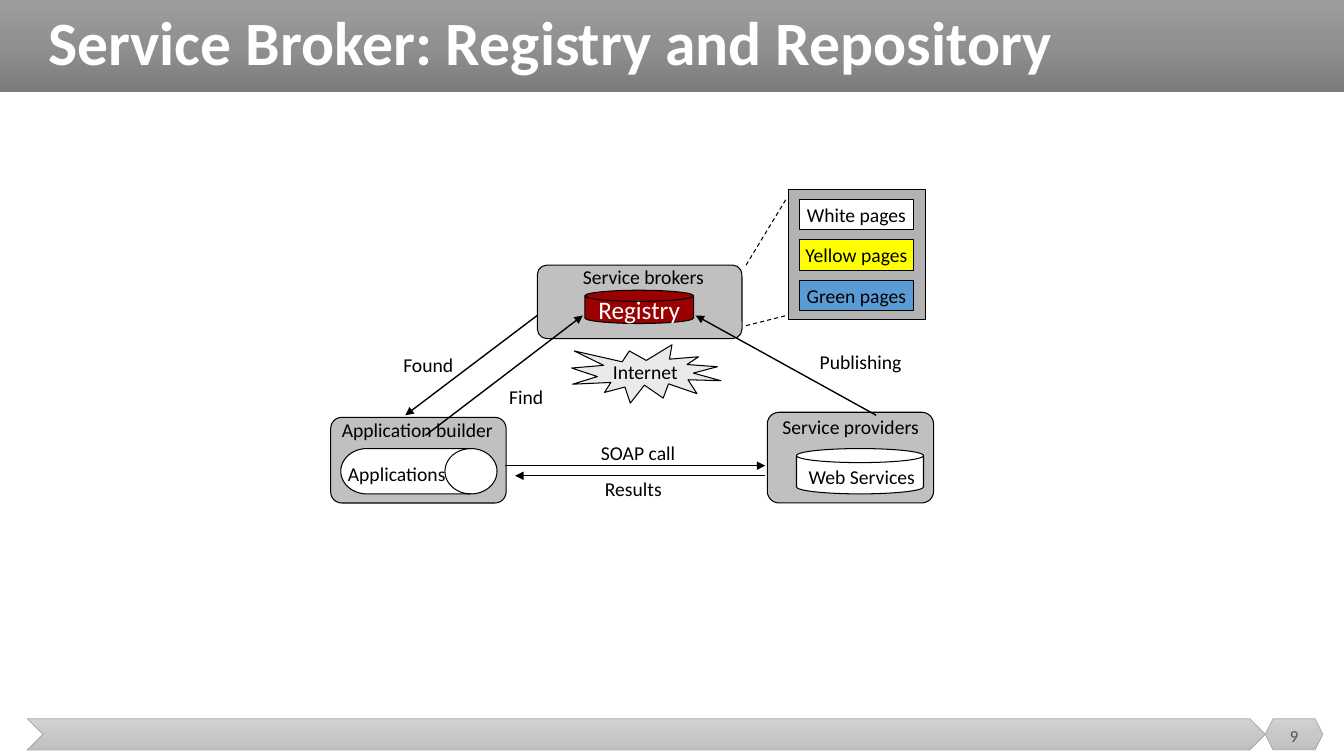
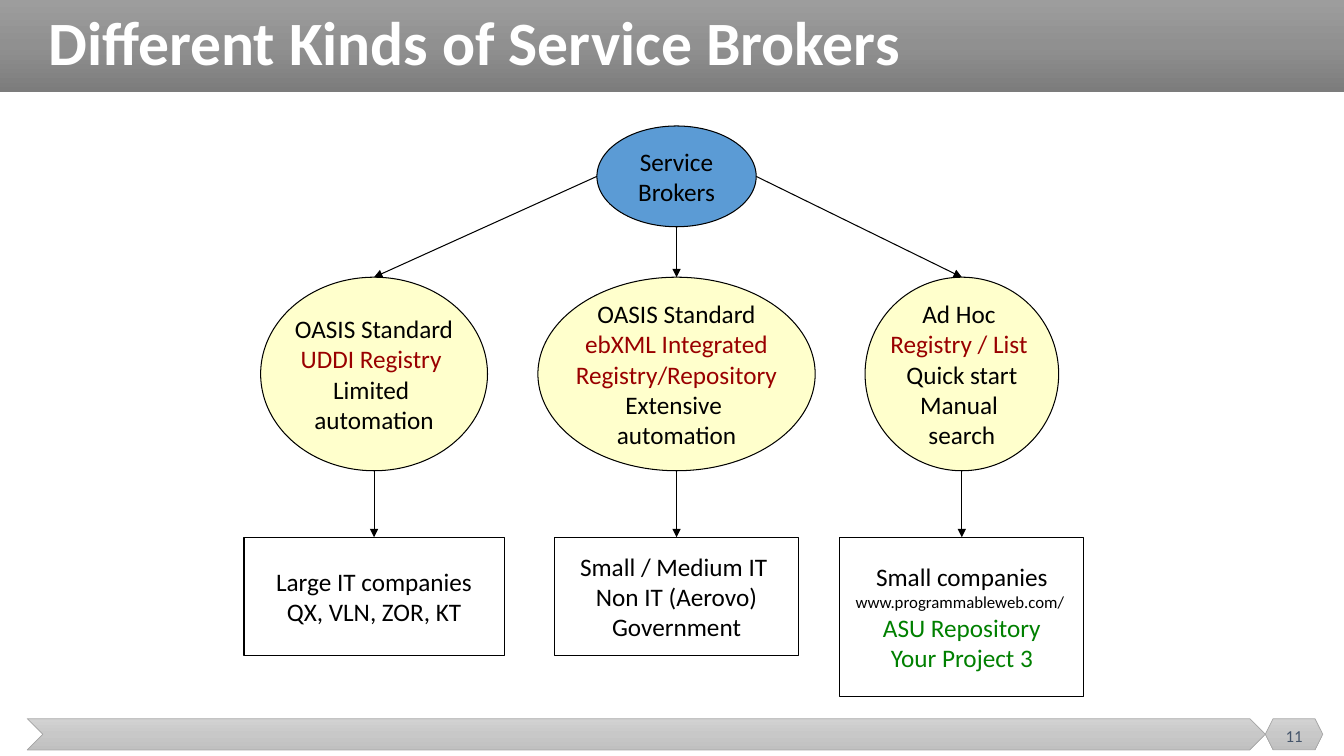
"""Build two slides about service brokers."""
import copy
import dataclasses

import pptx
import pptx.dml.color
import pptx.enum.dml
import pptx.enum.shapes
import pptx.enum.text
import pptx.oxml.ns
import pptx.util
from lxml import etree

Inches = pptx.util.Inches
Kind = pptx.enum.shapes.MSO_SHAPE
Align = pptx.enum.text.PP_ALIGN
Anchor = pptx.enum.text.MSO_ANCHOR
qn = pptx.oxml.ns.qn


@dataclasses.dataclass(frozen=True)
class Theme:
    font: str = "Calibri"
    head: int = 44
    body: int = 18
    small: int = 14
    tiny: int = 12
    black: str = "000000"
    white: str = "FFFFFF"
    slate: str = "44546A"
    edge: str = "A5A5A5"
    panel: str = "C0C0C0"
    frame: str = "B2B2B2"
    burst: str = "EAEAEA"
    yellow: str = "FFFF00"
    cream: str = "FFFFCC"
    blue: str = "5B9BD5"
    red: str = "990000"
    green: str = "008000"
    band: tuple = ("9D9D9D", "909090", "7C7C7C")
    foot: tuple = ("D2D2D2", "C8C8C8", "C0C0C0")


THEME = Theme()


def rgb(code):
    return pptx.dml.color.RGBColor.from_string(code)


def write(frame, lines, size=THEME.body, color=THEME.black, bold=False,
          align=Align.CENTER, anchor=Anchor.MIDDLE, wrap=False,
          inset=None, fit=False, lead=None):
    frame.word_wrap = wrap
    frame.vertical_anchor = anchor
    if fit:
        frame.auto_size = pptx.enum.text.MSO_AUTO_SIZE.SHAPE_TO_FIT_TEXT
    if inset is not None:
        frame.margin_left = frame.margin_right = Inches(inset)
        frame.margin_top = frame.margin_bottom = Inches(inset)
    for pos, line in enumerate(lines):
        words, own = line if isinstance(line, tuple) else (line, {})
        para = frame.add_paragraph() if pos else frame.paragraphs[0]
        para.text = words
        para.alignment = align
        if lead:
            para.line_spacing = lead
        for run in para.runs:
            run.font.name = THEME.font
            run.font.size = pptx.util.Pt(own.get("size", size))
            run.font.bold = bold
            run.font.color.rgb = rgb(own.get("color", color))


class Deck:
    def __init__(self, theme):
        self.theme = theme
        self.show = pptx.Presentation()
        self.show.slide_width = Inches(13.33)
        self.show.slide_height = Inches(7.5)
        self.slide = None

    def page(self, title, number):
        theme = self.theme
        self.slide = self.show.slides.add_slide(self.show.slide_layouts[6])
        self.shape(Kind.RECTANGLE, (0, 0, 13.33, 0.91), theme.band, edge=None)
        for kind, left, width in ((Kind.CHEVRON, 0.27, 12.28),
                                  (Kind.HEXAGON, 12.55, 0.57)):
            self.shape(kind, (left, 7.13, width, 0.31), theme.foot,
                       edge=theme.edge, thick=0.5)
        self.text((12.55, 7.1, 0.57, 0.4), number, size=theme.tiny,
                  color=theme.slate, wrap=True)
        self.text((0.38, 0, 12.74, 0.91), title, size=theme.head, bold=True,
                  color=theme.white, align=Align.LEFT, wrap=True, lead=0.9)

    def text(self, area, words, **form):
        box = self.slide.shapes.add_textbox(*map(Inches, area))
        write(box.text_frame, [words], **form)

    def label(self, left, top, width, words):
        self.text((left, top, width, 0.24), words, size=self.theme.small,
                  align=Align.LEFT, anchor=Anchor.TOP, inset=0, fit=True)

    def shape(self, kind, area, fill, lines=(), edge=THEME.black, thick=0.75,
              bend=None, **form):
        item = self.slide.shapes.add_shape(kind, *map(Inches, area))
        item.shadow.inherit = False
        if bend is not None:
            item.adjustments[0] = bend
        if isinstance(fill, tuple):
            self.blend(item, fill)
        else:
            item.fill.solid()
            item.fill.fore_color.rgb = rgb(fill)
        if edge:
            item.line.color.rgb = rgb(edge)
            item.line.width = pptx.util.Pt(thick)
        else:
            item.line.fill.background()
        if lines:
            write(item.text_frame, lines, **form)
        return item

    def blend(self, item, hues):
        item.fill.gradient()
        item.fill.gradient_angle = 270
        stops = item._element.spPr.find(".//" + qn("a:gsLst"))
        stops.insert(1, copy.deepcopy(stops[0]))
        for pos, (stop, hue) in enumerate(zip(item.fill.gradient_stops, hues)):
            stop.color.rgb = rgb(hue)
            stop.position = pos / 2

    def panel(self, area):
        self.shape(Kind.ROUNDED_RECTANGLE, area, self.theme.panel, bend=0.13)

    def line(self, start, end, thick=0.75, arrow=True, goal=None):
        link = self.slide.shapes.add_connector(
            pptx.enum.shapes.MSO_CONNECTOR.STRAIGHT,
            *map(Inches, (*start, *end)))
        link.line.color.rgb = rgb(self.theme.black)
        link.line.width = pptx.util.Pt(thick)
        props = link._element.spPr
        if arrow:
            etree.SubElement(props.find(qn("a:ln")), qn("a:tailEnd"),
                             type="triangle")
        else:
            link.line.dash_style = pptx.enum.dml.MSO_LINE.DASH
        etree.SubElement(props, qn("a:effectLst"))
        if goal is not None:
            link.end_connect(goal, 0)


def draw_roles(deck):
    theme = deck.theme
    deck.page("Service Broker: Registry and Repository", "9")
    for tag in ((8.13, 3.47, 0.85, "Publishing"), (5.05, 3.82, 0.35, "Find"),
                (4, 3.5, 0.53, "Found"), (5.96, 4.37, 0.79, "SOAP call"),
                (6, 4.73, 0.6, "Results")):
        deck.label(*tag)
    deck.line((5.46, 3.03), (4.02, 4.12), 1)

    deck.panel((7.61, 4.09, 1.65, 0.9))
    deck.label(7.76, 4.12, 1.43, "Service providers")
    deck.shape(Kind.CAN, (7.9, 4.45, 1.26, 0.45), theme.white, bend=0.31)
    deck.label(8.02, 4.61, 1.1, "Web Services")

    deck.panel((3.28, 4.14, 1.74, 0.85))
    deck.label(3.39, 4.15, 1.56, "Application builder")
    deck.shape(Kind.FLOWCHART_DIRECT_ACCESS_STORAGE,
               (3.38, 4.45, 1.55, 0.45), theme.white)
    deck.label(3.45, 4.58, 1.02, "Applications")

    deck.line((5.01, 4.62), (7.59, 4.62), 1)
    deck.line((7.59, 4.72), (5.11, 4.72), 1)
    deck.shape(Kind.EXPLOSION1, (5.67, 3.42, 1.48, 0.58), theme.burst,
               ["Internet"], size=theme.small)

    deck.shape(Kind.RECTANGLE, (7.82, 1.88, 1.36, 1.29), theme.frame)
    pages = (("White", theme.white), ("Yellow", theme.yellow),
             ("Green", theme.blue))
    for row, (name, fill) in enumerate(pages):
        deck.shape(Kind.RECTANGLE, (7.93, 1.98 + 0.4 * row, 1.13, 0.3), fill,
                   [name + " pages"], size=theme.small)
    deck.line((7.4, 3.23), (7.8, 3.13), arrow=False)
    deck.line((7.4, 2.63), (7.8, 1.97), arrow=False)

    deck.panel((5.33, 2.63, 2.03, 0.73))
    deck.label(5.78, 2.63, 1.28, "Service brokers")
    deck.shape(Kind.FLOWCHART_MAGNETIC_DISK, (5.8, 2.88, 1.08, 0.33),
               theme.red, ["Registry"], color=theme.white)
    deck.line((4.22, 4.32), (5.78, 3.13), 1)
    deck.line((8.69, 4.12), (6.9, 3.13), 1)


def draw_kinds(deck):
    theme = deck.theme
    red, green = {"color": theme.red}, {"color": theme.green}
    deck.page("Different Kinds of Service Brokers", "11")
    deck.shape(Kind.OVAL, (5.92, 1.25, 1.58, 1), theme.blue,
               ["Service", "Brokers"])
    trees = (
        (3.71, (5.92, 1.75), 2.25,
         ["OASIS Standard", ("UDDI Registry ", red), "Limited ",
          "automation"],
         2.58, 1.17, ["Large IT companies", "QX, VLN, ZOR, KT"]),
        (6.71, (6.71, 2.25), 2.75,
         ["OASIS Standard", ("ebXML Integrated\vRegistry/Repository", red),
          "Extensive ", "automation"],
         2.42, 1.17,
         ["Small / Medium IT ", "Non IT (Aerovo)", "Government"]),
        (9.54, (7.5, 1.75), 1.92,
         ["Ad Hoc ", ("Registry / List ", red), "Quick start", "Manual ",
          "search"],
         2.42, 1.58,
         ["Small companies",
          ("www.programmableweb.com/ ", {"size": theme.tiny}),
          ("ASU Repository", green), ("Your Project 3", green)]),
    )
    for mid, start, span, kind, width, height, users in trees:
        oval = deck.shape(Kind.OVAL, (mid - span / 2, 2.75, span, 1.92),
                          theme.cream, kind)
        box = deck.shape(Kind.RECTANGLE,
                         (mid - width / 2, 5.33, width, height),
                         theme.white, users)
        deck.line(start, (mid, 2.75), goal=oval)
        deck.line((mid, 4.67), (mid, 5.33), goal=box)


def main():
    deck = Deck(THEME)
    draw_roles(deck)
    draw_kinds(deck)
    deck.show.save("out.pptx")


if __name__ == "__main__":
    main()
